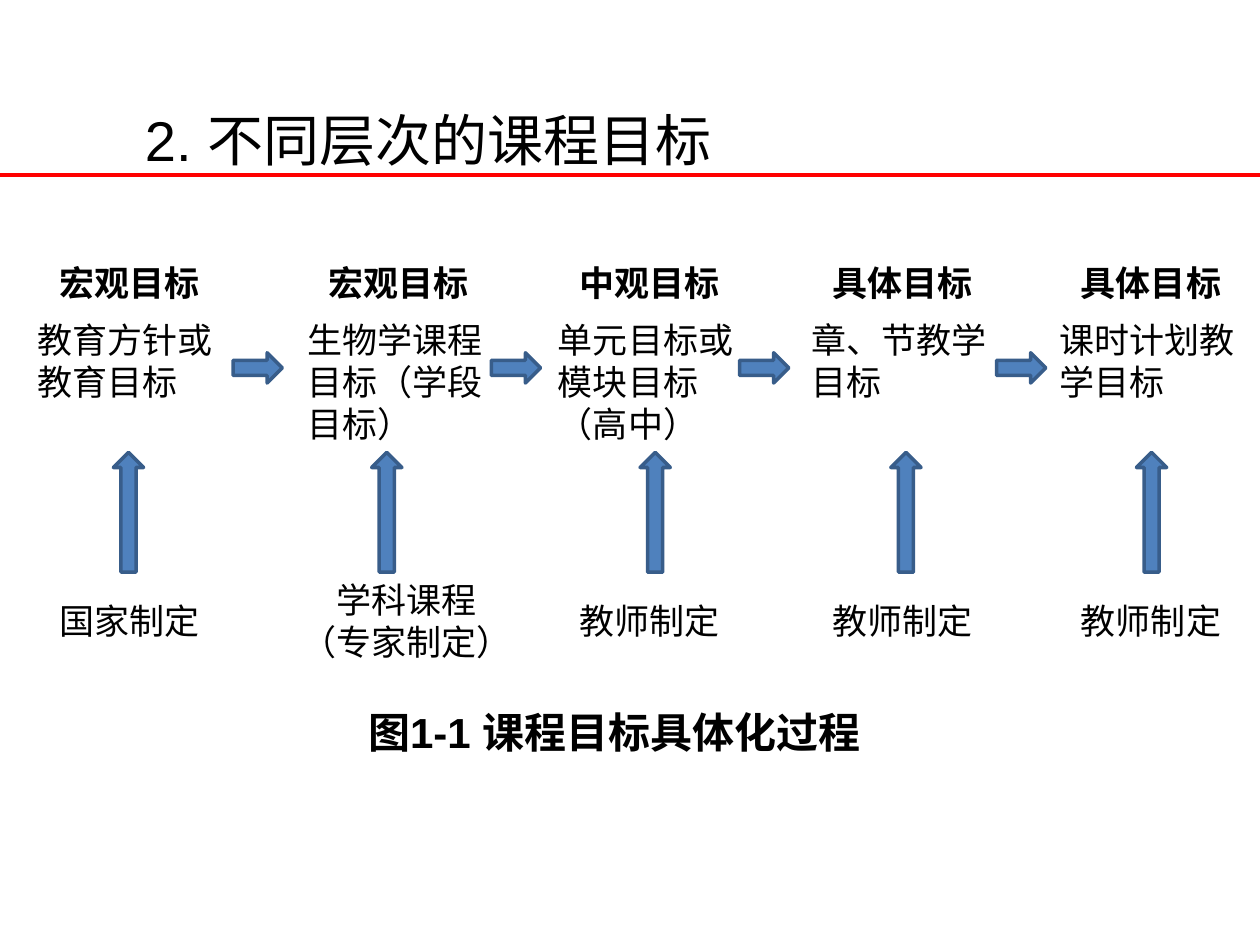
from collections import namedtuple

from pptx import Presentation
from pptx.dml.color import RGBColor as RGB
from pptx.enum.shapes import MSO_CONNECTOR, MSO_SHAPE
from pptx.enum.text import MSO_ANCHOR, MSO_AUTO_SIZE, PP_ALIGN
from pptx.oxml.ns import qn
from pptx.util import Inches, Pt
from lxml.etree import SubElement

Theme = namedtuple("Theme", "font text rule fill edge title body caption")
Column = namedtuple("Column", "left up_arrow level goal maker")

THEME = Theme("Arial", RGB(0, 0, 0), RGB(0xFF, 0, 0), RGB(0x4F, 0x81, 0xBD),
              RGB(0x38, 0x5D, 0x8A), 32, 20, 24)

TITLE = "2. 不同层次的课程目标"
CAPTION = "图1-1 课程目标具体化过程"
COLUMNS = [
    Column(0.2, 0.9, "宏观目标", "教育方针或教育目标", "国家制定"),
    Column(2.34, 2.95, "宏观目标", "生物学课程目标（学段目标）", "学科课程\n（专家制定）"),
    Column(4.33, 5.08, "中观目标", "单元目标或模块目标（高中）", "教师制定"),
    Column(6.34, 7.07, "具体目标", "章、节教学目标", "教师制定"),
    Column(8.31, 9.02, "具体目标", "课时计划教学目标", "教师制定"),
]
NEXT_ARROWS = [1.85, 3.9, 5.87, 7.91]

COL_W = 1.65
LEVEL_Y, GOAL_Y, NEXT_Y, UP_Y, MAKER_Y = 1.86, 2.48, 2.8, 3.59, 4.54
NEXT_LEN, UP_LEN, ARROW_W = 0.39, 0.95, 0.24


def write(s, text, size, bold=False, align=PP_ALIGN.CENTER, spacing=1.0):
    """Fill a shape with text and format its paragraphs."""
    tf = s.text_frame
    tf.text = text
    tf.word_wrap = True
    tf.auto_size = MSO_AUTO_SIZE.NONE
    tf.vertical_anchor = MSO_ANCHOR.TOP
    for p in tf.paragraphs:
        p.alignment = align
        p.line_spacing = spacing
        for r in p.runs:
            r.font.name = THEME.font
            r.font.size = Pt(size)
            r.font.bold = bold
            r.font.color.rgb = THEME.text


def add_text(slide, box, *args, **kwargs):
    """Add a text box at left, top, width, height."""
    write(slide.shapes.add_textbox(*map(Inches, box)), *args, **kwargs)


def add_arrow(slide, kind, *box):
    """Add a block arrow in the theme colours."""
    s = slide.shapes.add_shape(kind, *map(Inches, box))
    s.shadow.inherit = False
    s.fill.solid()
    s.fill.fore_color.rgb = THEME.fill
    s.line.color.rgb = THEME.edge
    s.line.width = Pt(2)


def add_heading(slide):
    """Place the title and the rule below it."""
    s = slide.shapes.title
    s.left, s.top, s.width, s.height = map(Inches, (1.05, 0.52, 7.97, 0.9))
    write(s, TITLE, THEME.title, align=PP_ALIGN.LEFT, spacing=1.5)
    rule = slide.shapes.add_connector(
        MSO_CONNECTOR.STRAIGHT, *map(Inches, (0, 1.39, 10, 1.39)))
    rule.line.color.rgb = THEME.rule
    rule.line.width = Pt(2.25)
    SubElement(rule._element.spPr, qn("a:effectLst"))


def add_column(slide, col):
    """Stack the level, its goal, the up arrow and the maker."""
    add_text(slide, (col.left, LEVEL_Y, COL_W, 0.6), col.level, THEME.body,
             bold=True, spacing=1.5)
    add_text(slide, (col.left, GOAL_Y, COL_W, 1.1 if len(col.goal) > 10 else 0.77),
             col.goal, THEME.body, align=PP_ALIGN.LEFT)
    add_arrow(slide, MSO_SHAPE.UP_ARROW, col.up_arrow, UP_Y, ARROW_W, UP_LEN)
    if "\n" in col.maker:
        add_text(slide, (col.left - 0.1, MAKER_Y, 1.97, 0.77), col.maker, THEME.body)
    else:
        add_text(slide, (col.left, MAKER_Y, COL_W, 0.6), col.maker, THEME.body,
                 spacing=1.5)


def main():
    """Build the slide and save it."""
    prs = Presentation()
    prs.slide_width, prs.slide_height = Inches(10), Inches(7.5)
    slide = prs.slides.add_slide(prs.slide_layouts.get_by_name("Title Only"))
    add_heading(slide)
    for col in COLUMNS:
        add_column(slide, col)
    for left in NEXT_ARROWS:
        add_arrow(slide, MSO_SHAPE.RIGHT_ARROW, left, NEXT_Y, NEXT_LEN, ARROW_W)
    add_text(slide, (2.4, 5.56, 4.95, 0.5), CAPTION, THEME.caption, bold=True)
    prs.save("out.pptx")


if __name__ == "__main__":
    main()
